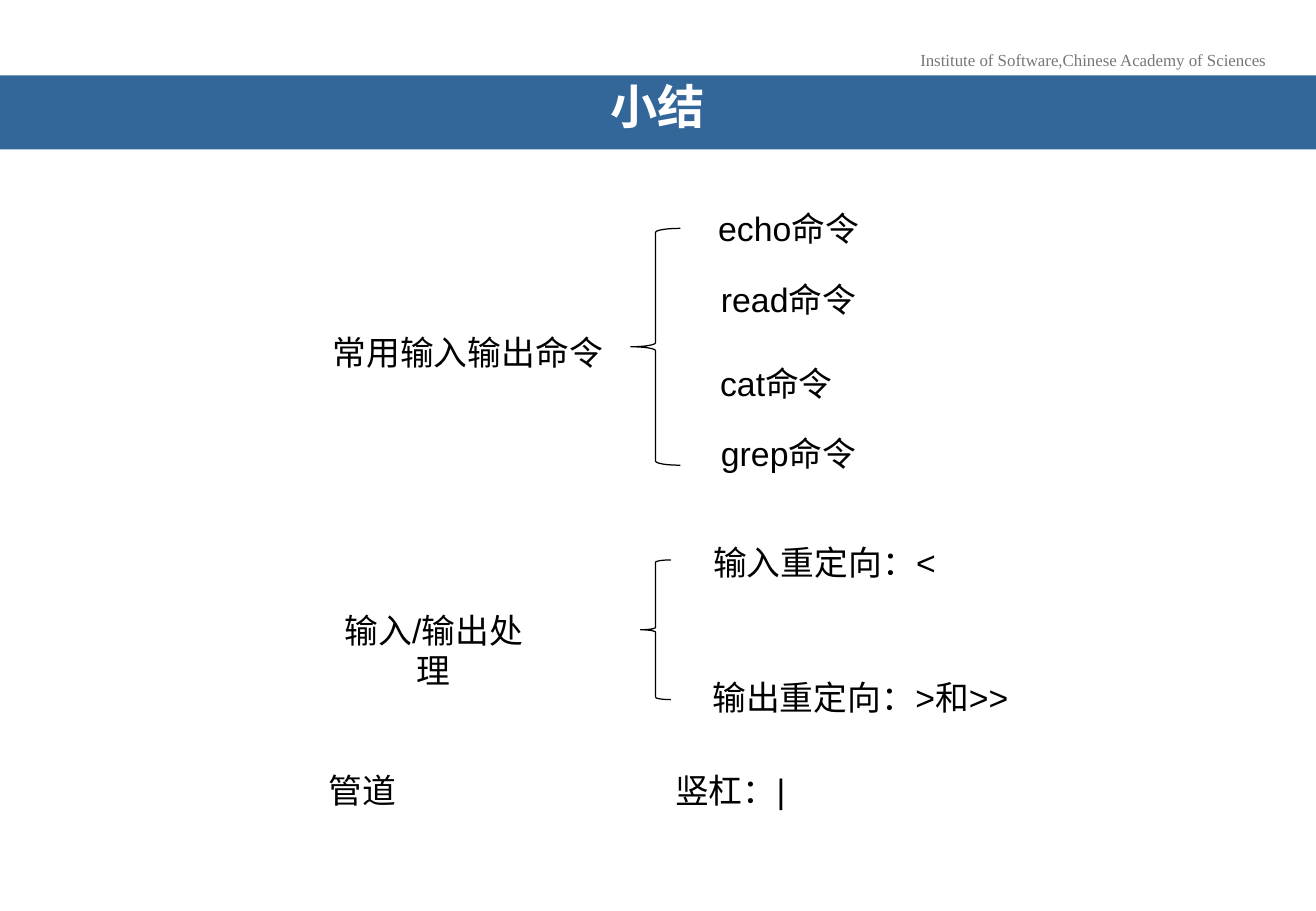
import pptx
import pptx.util
import pptx.dml.color
import pptx.enum.shapes
import pptx.enum.text

PX = 9144
SLIDE_W, SLIDE_H = 1083, 750
LABEL_H = 44
BLACK = "000000"

HEADER = ("Institute of Software,Chinese Academy of Sciences", 746, 36, 307, 27)
TITLE = ("小结", 0, 62, SLIDE_W, 61)
LABELS = [
    ("常用输入输出命令", 259, 268, 252),
    ("echo命令", 567, 166, 164),
    ("read命令", 567, 225, 164),
    ("cat命令", 557, 294, 164),
    ("grep命令", 567, 351, 164),
    ("输入/输出处理", 260, 497, 194),
    ("输入重定向：<", 577, 441, 203),
    ("输出重定向：>和>>", 567, 552, 282),
    ("管道", 216, 629, 164),
    ("竖杠：|", 519, 629, 164),
]
BRACES = [(519, 188, 41, 195), (527, 461, 25, 115)]


def px(*values):
    return [pptx.util.Emu(v * PX) for v in values]


def rgb(color):
    return pptx.dml.color.RGBColor.from_string(color)


def write(sp, text, size, font, color, bold=False):
    tf = sp.text_frame
    tf.text = text
    p = tf.paragraphs[0]
    p.alignment = pptx.enum.text.PP_ALIGN.CENTER
    r = p.runs[0]
    r.font.size = pptx.util.Pt(size)
    r.font.name = font
    r.font.bold = bold
    r.font.color.rgb = rgb(color)
    return tf


def add_label(s, text, box, size, font, color, wrap):
    sp = s.shapes.add_textbox(*px(*box))
    tf = write(sp, text, size, font, color)
    tf.word_wrap = wrap
    tf.auto_size = pptx.enum.text.MSO_AUTO_SIZE.SHAPE_TO_FIT_TEXT


def add_title(s, text, *box):
    sp = s.shapes.add_shape(pptx.enum.shapes.MSO_SHAPE.RECTANGLE, *px(*box))
    sp.shadow.inherit = False
    sp.fill.solid()
    sp.fill.fore_color.rgb = rgb("336699")
    sp.line.fill.background()
    tf = write(sp, text, 28, "Arial Narrow", "FFFFFF", bold=True)
    tf.vertical_anchor = pptx.enum.text.MSO_ANCHOR.MIDDLE
    tf.margin_left, tf.margin_right = px(31, 31)
    tf.paragraphs[0].line_spacing = 0.7


def add_brace(s, *box):
    sp = s.shapes.add_shape(pptx.enum.shapes.MSO_SHAPE.LEFT_BRACE, *px(*box))
    sp.shadow.inherit = False
    sp.fill.background()
    sp.line.color.rgb = rgb(BLACK)
    sp.line.width = pptx.util.Pt(0.75)
    sp.adjustments[0] = 0.08
    sp.adjustments[1] = 0.5


def main():
    prs = pptx.Presentation()
    prs.slide_width, prs.slide_height = px(SLIDE_W, SLIDE_H)
    s = prs.slides.add_slide(prs.slide_layouts[6])
    text, *box = HEADER
    add_label(s, text, box, 10, "Times New Roman", "777777", wrap=False)
    add_title(s, *TITLE)
    for brace in BRACES:
        add_brace(s, *brace)
    for text, x, y, w in LABELS:
        add_label(s, text, (x, y, w, LABEL_H), 20, "Arial", BLACK, wrap=True)
    prs.save("out.pptx")


if __name__ == "__main__":
    main()
